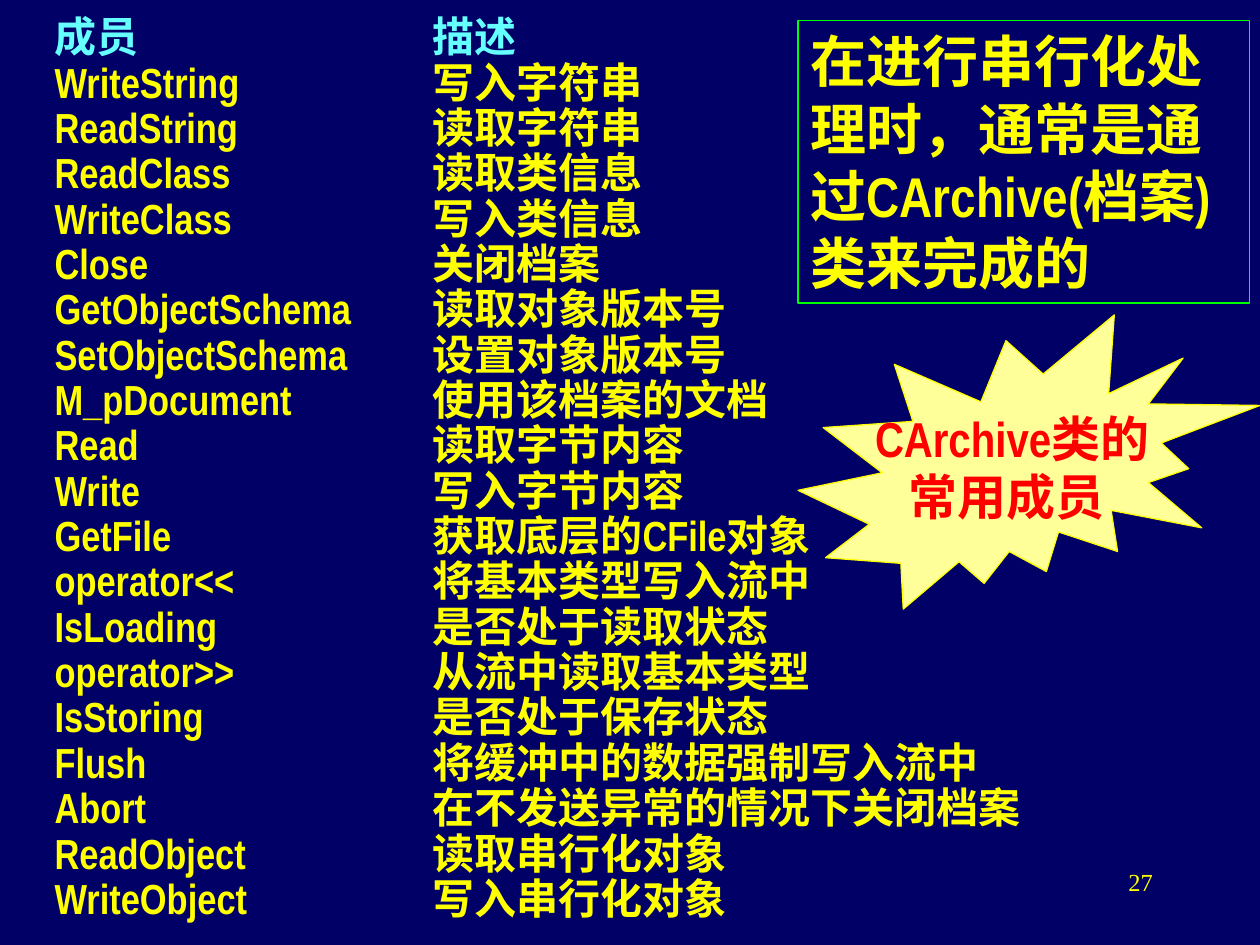
from dataclasses import dataclass

import pptx
import pptx.dml.color
import pptx.enum.shapes
import pptx.enum.text
import pptx.oxml
import pptx.oxml.ns
import pptx.util
from pptx.util import Cm

ALIGN = pptx.enum.text.PP_ALIGN
ANCHOR = pptx.enum.text.MSO_ANCHOR
FIT = pptx.enum.text.MSO_AUTO_SIZE
SHAPE = pptx.enum.shapes.MSO_SHAPE


@dataclass(frozen=True)
class Theme:
    background: str = "000066"
    text: str = "FFFF00"
    heading: str = "66FFFF"
    frame: str = "00FF00"
    burst: str = "FFFF99"
    burst_text: str = "FF0000"
    font: str = "Arial Narrow"
    number_font: str = "Times New Roman"
    number_size: int = 14
    list_size: int = 24
    burst_size: int = 28
    note_size: int = 32


THEME = Theme()

MEMBERS = [
    ("成员", "描述"),
    ("WriteString", "写入字符串"),
    ("ReadString", "读取字符串"),
    ("ReadClass", "读取类信息"),
    ("WriteClass", "写入类信息"),
    ("Close", "关闭档案"),
    ("GetObjectSchema", "读取对象版本号"),
    ("SetObjectSchema", "设置对象版本号"),
    ("M_pDocument", "使用该档案的文档"),
    ("Read", "读取字节内容"),
    ("Write", "写入字节内容"),
    ("GetFile", "获取底层的CFile对象"),
    ("operator<<", "将基本类型写入流中"),
    ("IsLoading", "是否处于读取状态"),
    ("operator>>", "从流中读取基本类型"),
    ("IsStoring", "是否处于保存状态"),
    ("Flush", "将缓冲中的数据强制写入流中"),
    ("Abort", "在不发送异常的情况下关闭档案"),
    ("ReadObject", "读取串行化对象"),
    ("WriteObject", "写入串行化对象"),
]


def rgb(value):
    return pptx.dml.color.RGBColor.from_string(value)


def write_text(para, text, *, size, color=THEME.text, font=THEME.font,
               bold=True, align=ALIGN.LEFT, spacing=None, tab=None):
    if tab is not None:
        stops = pptx.oxml.parse_xml(
            f'<a:tabLst {pptx.oxml.ns.nsdecls("a")}><a:tab pos="{tab}" algn="l"/></a:tabLst>')
        para._p.get_or_add_pPr().append(stops)
    para.alignment = align
    if spacing is not None:
        para.line_spacing = spacing
    span = para.add_run()
    span.text = text
    span.font.name = font
    span.font.size = pptx.util.Pt(size)
    span.font.bold = bold
    span.font.color.rgb = rgb(color)


def write_lines(frame, lines, **style):
    for index, line in enumerate(lines):
        para = frame.add_paragraph() if index else frame.paragraphs[0]
        write_text(para, line, **style)


def add_outlined_shape(page, kind, box, line, fill=None):
    shape = page.shapes.add_shape(kind, *box)
    shape.shadow.inherit = False
    if fill:
        shape.fill.solid()
        shape.fill.fore_color.rgb = rgb(fill)
    else:
        shape.fill.background()
    shape.line.color.rgb = rgb(line)
    shape.line.width = pptx.util.Pt(0.75)
    return shape


def add_page_number(page, box):
    frame = page.shapes.add_textbox(*box).text_frame
    frame.word_wrap = True
    write_text(frame.paragraphs[0], "27", size=THEME.number_size,
               font=THEME.number_font, bold=False, align=ALIGN.RIGHT)


def add_note(page, box):
    frame = add_outlined_shape(page, SHAPE.RECTANGLE, box, THEME.frame).text_frame
    frame.word_wrap = True
    frame.auto_size = FIT.SHAPE_TO_FIT_TEXT
    frame.vertical_anchor = ANCHOR.TOP
    write_text(frame.paragraphs[0],
               "在进行串行化处理时，通常是通过CArchive(档案)类来完成的",
               size=THEME.note_size)


def add_member_list(page, box):
    """Two columns of text, the second one set by a tab stop."""
    frame = page.shapes.add_textbox(*box).text_frame
    frame.word_wrap = True
    frame.auto_size = FIT.SHAPE_TO_FIT_TEXT
    for index, (member, description) in enumerate(MEMBERS):
        para = frame.add_paragraph() if index else frame.paragraphs[0]
        write_text(para, f"{member}\t{description}", size=THEME.list_size,
                   color=THEME.text if index else THEME.heading,
                   spacing=0.9, tab=Cm(7.62))


def add_burst(page, box):
    shape = add_outlined_shape(page, SHAPE.EXPLOSION2, box, THEME.text, THEME.burst)
    frame = shape.text_frame
    frame.word_wrap = False
    frame.vertical_anchor = ANCHOR.MIDDLE
    write_lines(frame, ["CArchive类的", "常用成员 "], size=THEME.burst_size,
                color=THEME.burst_text, align=ALIGN.CENTER)


def main():
    deck = pptx.Presentation()
    deck.slide_width, deck.slide_height = Cm(25.4), Cm(19.05)
    page = deck.slides.add_slide(deck.slide_layouts[6])
    page.background.fill.solid()
    page.background.fill.fore_color.rgb = rgb(THEME.background)

    add_page_number(page, (Cm(18.2), Cm(17.36), Cm(5.29), Cm(1.27)))
    add_note(page, (Cm(16.09), Cm(0.42), Cm(9.1), Cm(5.69)))
    add_member_list(page, (Cm(0.85), Cm(0.21), Cm(23.92), Cm(18.54)))
    add_burst(page, (Cm(16.09), Cm(6.35), Cm(9.31), Cm(5.93)))
    deck.save("out.pptx")


if __name__ == "__main__":
    main()
